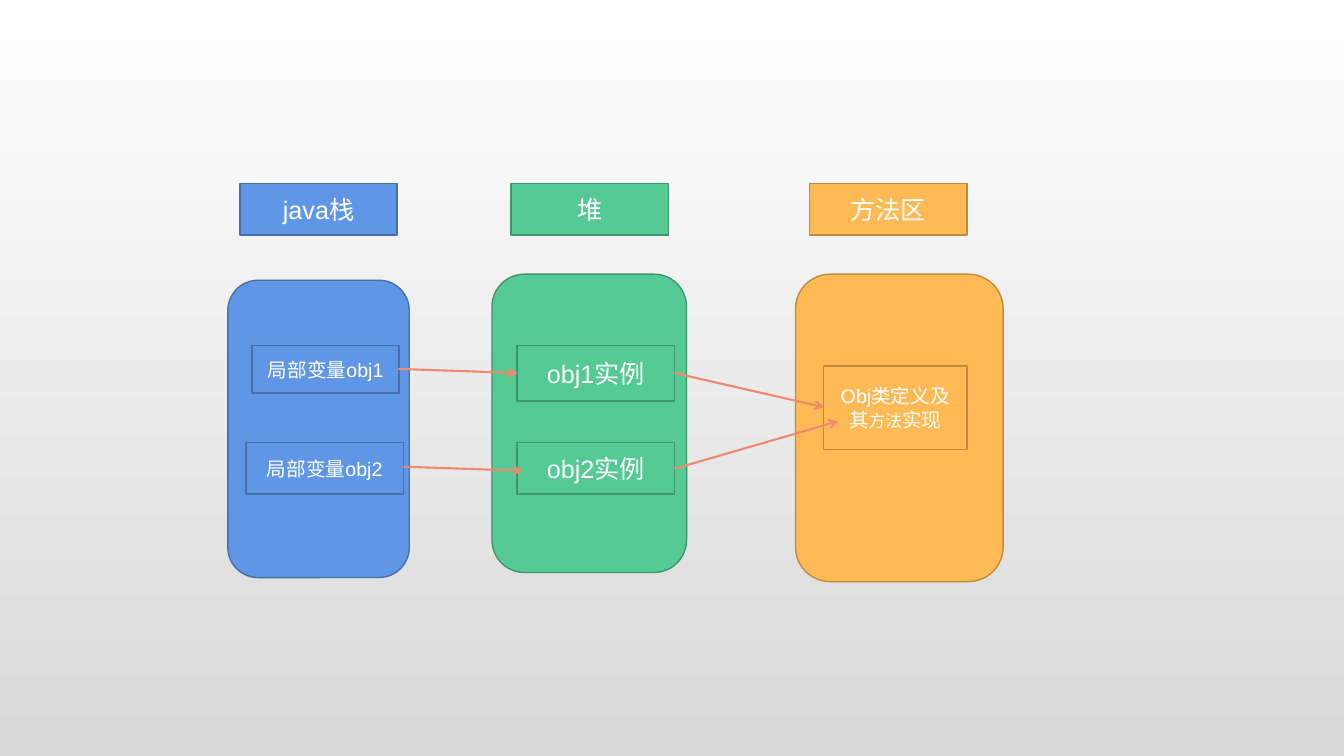
import pptx
import pptx.util
import pptx.dml.color
import pptx.enum.shapes
import pptx.enum.text
import pptx.oxml
import pptx.oxml.ns

SHAPES = pptx.enum.shapes.MSO_SHAPE
WHITE, ARROW = "FFFFFF", "F18870"
BACKGROUND = (WHITE, "D9D9D9")
HEADER_TOP, HEADER_SIZE = 1.82, (1.56, 0.51)

AREAS = [
    {"fill": "6096E6", "line": "476FAA", "header": "java栈", "header_left": 2.38,
     "panel": (2.26, 2.78, 1.8, 2.95),
     "boxes": [((2.5, 3.43, 1.46, 0.47), [("局部变量obj1", 14)]),
               ((2.44, 4.39, 1.56, 0.51), [("局部变量obj2", 14)])]},
    {"fill": "56CA95", "line": "40956E", "header": "堆", "header_left": 5.07,
     "panel": (4.88, 2.72, 1.93, 2.96),
     "boxes": [((5.13, 3.43, 1.56, 0.55), [("obj1实例", 18)]),
               ((5.13, 4.39, 1.56, 0.51), [("obj2实例", 18)])]},
    {"fill": "FFBA55", "line": "BD8A3F", "header": "方法区", "header_left": 8.03,
     "panel": (7.89, 2.72, 2.06, 3.05),
     "boxes": [((8.17, 3.63, 1.42, 0.83),
                [("Obj类定义及其", 14), ("方法", 12), ("实现", 14)])]},
]
REFERENCES = [
    ((3.95, 3.66), (5.13, 3.7)),
    ((4, 4.63), (5.18, 4.67)),
    ((6.69, 3.7), (8.17, 4.04)),
    ((6.69, 4.65), (8.31, 4.18)),
]


def color(value):
    return pptx.dml.color.RGBColor.from_string(value)


def inches(values):
    return [pptx.util.Inches(value) for value in values]


def add_box(slide, kind, bounds, area, runs=()):
    shape = slide.shapes.add_shape(kind, *inches(bounds))
    shape.shadow.inherit = False
    shape.fill.solid()
    shape.fill.fore_color.rgb = color(area["fill"])
    shape.line.color.rgb = color(area["line"])
    shape.line.width = pptx.util.Pt(1)
    shape.text_frame.vertical_anchor = pptx.enum.text.MSO_ANCHOR.MIDDLE
    paragraph = shape.text_frame.paragraphs[0]
    paragraph.alignment = pptx.enum.text.PP_ALIGN.CENTER
    for text, size in runs:
        run = paragraph.add_run()
        run.text = text
        run.font.name = "Arial"
        run.font.size = pptx.util.Pt(size)
        run.font.color.rgb = color(WHITE)


def add_arrow(slide, start, end):
    connector = slide.shapes.add_connector(
        pptx.enum.shapes.MSO_CONNECTOR.STRAIGHT, *inches(start + end))
    connector.line.color.rgb = color(ARROW)
    connector.line.width = pptx.util.Pt(1.5)
    arrowhead = pptx.oxml.parse_xml(
        f'<a:tailEnd {pptx.oxml.ns.nsdecls("a")} type="arrow"/>')
    connector.line._get_or_add_ln().append(arrowhead)
    connector._element.spPr.append(
        pptx.oxml.parse_xml(f'<a:effectLst {pptx.oxml.ns.nsdecls("a")}/>'))


presentation = pptx.Presentation()
presentation.slide_width, presentation.slide_height = inches((13.33, 7.5))
slide = presentation.slides.add_slide(presentation.slide_layouts[6])

background = slide.background.fill
background.gradient()
background.gradient_angle = 270
for stop, value in zip(background.gradient_stops, BACKGROUND):
    stop.color.rgb = color(value)

for area in AREAS:
    header = (area["header_left"], HEADER_TOP, *HEADER_SIZE)
    add_box(slide, SHAPES.RECTANGLE, header, area, [(area["header"], 18)])
    add_box(slide, SHAPES.ROUNDED_RECTANGLE, area["panel"], area)
    for bounds, runs in area["boxes"]:
        add_box(slide, SHAPES.RECTANGLE, bounds, area, runs)

for start, end in REFERENCES:
    add_arrow(slide, start, end)

presentation.save("out.pptx")
